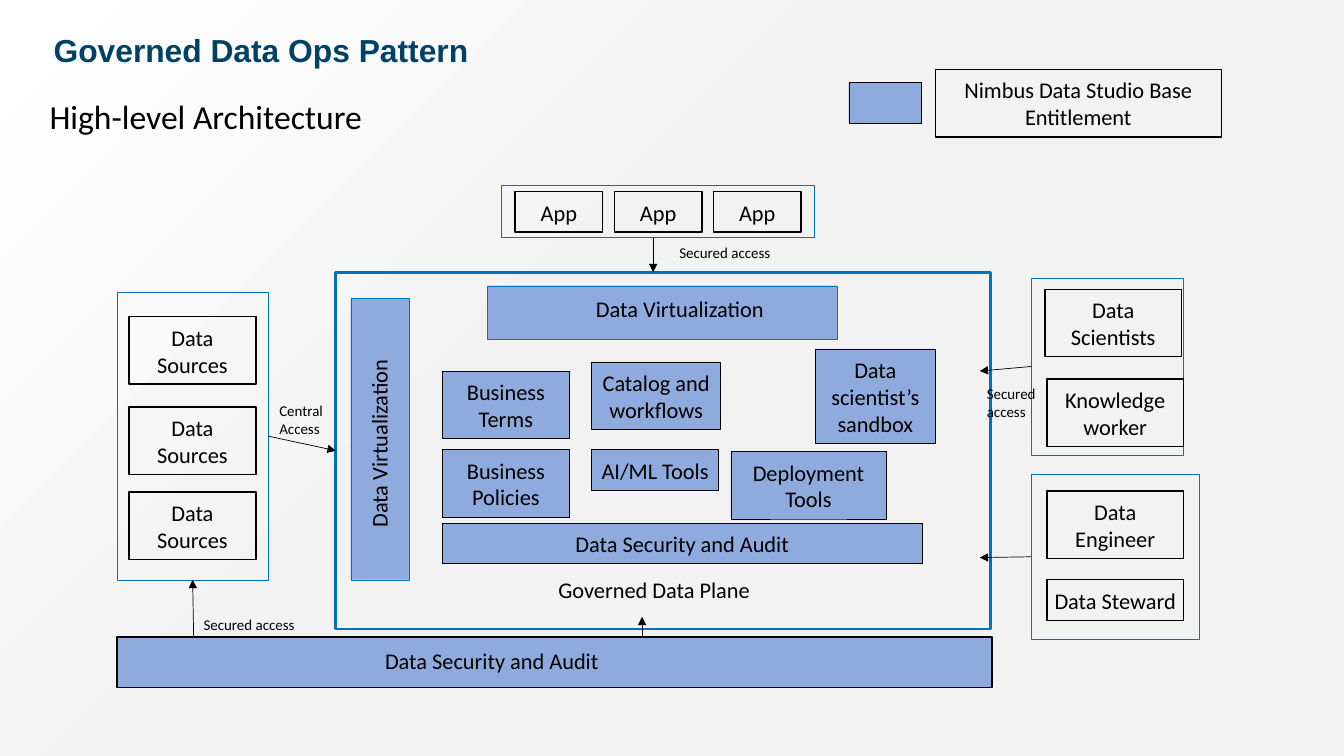
from lxml.etree import SubElement
from pptx import Presentation
from pptx.dml.color import RGBColor
from pptx.enum.shapes import MSO_CONNECTOR, MSO_SHAPE
from pptx.enum.text import MSO_ANCHOR as Anchor, MSO_AUTO_SIZE as AutoSize, PP_ALIGN as Align
from pptx.oxml.ns import qn
from pptx.util import Cm, Pt

COLORS = {"black": "000000", "white": "FFFFFF", "grey": "F2F2F2",
          "navy": "004266", "blue": "0070C0", "entitled": "8FAADC"}
COLORS = {name: RGBColor.from_string(value) for name, value in COLORS.items()}


def write(shape, text, size=16, font="Calibri", color="black", bold=False,
          align=Align.CENTER, anchor=Anchor.TOP, inset=0.18):
    frame = shape.text_frame
    frame.word_wrap = True
    frame.auto_size = AutoSize.NONE
    frame.vertical_anchor = anchor
    frame.margin_left = frame.margin_right = Cm(inset)
    frame.margin_top = frame.margin_bottom = Cm(inset)
    para = frame.paragraphs[0]
    para.alignment = align
    span = para.add_run()
    span.text = text
    span.font.size, span.font.name, span.font.bold = Pt(size), font, bold
    span.font.color.rgb = COLORS[color]


def add_box(place, text="", fill=None, line="black", weight=1):
    """Draw a rectangle at place: left, top, width and height in cm."""
    box = page.shapes.add_shape(MSO_SHAPE.RECTANGLE, *map(Cm, place))
    box.shadow.inherit = False
    if fill:
        box.fill.solid()
        box.fill.fore_color.rgb = COLORS[fill]
    else:
        box.fill.background()
    box.line.color.rgb = COLORS[line]
    box.line.width = Pt(weight)
    if text:
        write(box, text)
    return box


deck = Presentation()
deck.slide_width, deck.slide_height = Cm(33.87), Cm(19.05)
page = deck.slides.add_slide(deck.slide_layouts[5])

background = page.background.fill
background.gradient()
background.gradient_angle = 315
for stop, color, position in zip(background.gradient_stops, ("white", "grey"), (0, 0.44)):
    stop.color.rgb = COLORS[color]
    stop.position = position

title = page.shapes.title
title.left, title.top, title.width, title.height = Cm(1.35), Cm(0.66), Cm(12.83), Cm(1.19)
write(title, "Governed Data Ops Pattern", size=22.7, font="Arial", color="navy",
      bold=True, align=Align.LEFT, anchor=Anchor.MIDDLE, inset=0)

# Frames and bars
for place in ((12.29, 7.2, 8.81, 1.35), (8.84, 7.52, 1.47, 7.09)):
    add_box(place, fill="entitled", line="blue", weight=0.25)
plane = add_box((8.46, 6.86, 16.51, 8.99), line="blue", weight=2)
add_box((2.95, 16.05, 22.05, 1.27), fill="entitled")
sources, analysts, engineers, apps = [
    add_box(place, line="blue", weight=0.25) for place in (
        (2.95, 7.37, 3.81, 7.24), (25.98, 7.01, 3.84, 4.45),
        (25.98, 11.96, 4.24, 4.14), (12.62, 4.67, 7.9, 1.3))]

# Outlined boxes
for column in range(3):
    add_box((12.98 + 2.5 * column, 4.83, 2.21, 1.02), "App")
for top in (7.98, 10.26, 12.4):
    add_box((3.25, top, 3.2, 1.7), "Data Sources")
for text, left, top, height in (
        ("Data Scientists", 26.34, 7.29, 1.7),
        ("Knowledge worker", 26.39, 9.55, 1.7),
        ("Data Engineer", 26.39, 12.37, 1.7),
        ("Data Steward", 26.39, 14.61, 1.02)):
    add_box((left, top, 3.43, height), text)
add_box((23.57, 1.75, 7.21, 1.7), "Nimbus Data Studio Base Entitlement")

# Entitled components, with the legend swatch first
for text, *place in (
        ("", 21.39, 2.08, 1.83, 1.02),
        ("Business Terms", 11.15, 9.35, 3.2, 1.7),
        ("Business Policies", 11.15, 11.33, 3.2, 1.7),
        ("Catalog and workflows", 14.91, 9.12, 3.25, 1.7),
        ("AI/ML Tools", 14.91, 11.33, 3.2, 1.02),
        ("Data scientist’s sandbox", 20.55, 8.79, 3.02, 2.39),
        ("Deployment Tools", 18.42, 11.38, 3.91, 1.7),
        ("Data Security and Audit", 11.15, 13.18, 12.09, 1.02)):
    add_box(place, text, fill="entitled", weight=0.25)

# Free labels
note = {"size": 10.7, "align": Align.LEFT}
for text, place, rotation, look in (
        ("High-level Architecture", (1.07, 2.24, 18.47, 1.37), 0,
         {"size": 24, "align": Align.LEFT}),
        ("Data Virtualization", (6.4, 10.67, 6.27, 1.02), 270, {}),
        ("Data Virtualization", (14, 7.26, 6.27, 1.02), 0, {}),
        ("Governed Data Plane", (10.39, 14.35, 12.19, 1.02), 0, {}),
        ("Data Security and Audit", (6.35, 16.13, 12.09, 1.02), 0, {}),
        ("Secured access", (16.94, 5.97, 4.6, 0.79), 0, note),
        ("Secured access", (24.69, 9.5, 2.34, 1.24), 0, note),
        ("Secured access", (4.95, 15.32, 4.6, 0.79), 0, note),
        ("Central Access", (6.86, 9.93, 1.83, 1.24), 0, note)):
    label = page.shapes.add_textbox(*map(Cm, place))
    label.rotation = rotation
    write(label, text, **look)

# Arrows: ends in cm, then the joined shape and side at each end
for ends, begin, end in (
        ((6.76, 10.99, 8.46, 11.35), (sources, 3), (plane, 1)),
        ((16.46, 5.97, 16.46, 6.86), None, None),
        ((25.98, 9.23, 24.69, 9.35), (analysts, 1), None),
        ((25.98, 14.03, 24.69, 14.05), (engineers, 1), None),
        ((4.88, 16.05, 4.85, 14.61), None, (sources, 2)),
        ((16.18, 16.05, 16.18, 15.54), None, None)):
    arrow = page.shapes.add_connector(MSO_CONNECTOR.STRAIGHT, *map(Cm, ends))
    if begin:
        arrow.begin_connect(*begin)
    if end:
        arrow.end_connect(*end)
    arrow.line.color.rgb = COLORS["black"]
    arrow.line.width = Pt(0.5)
    SubElement(arrow.line._get_or_add_ln(), qn("a:tailEnd"), type="triangle")
    SubElement(arrow._element.spPr, qn("a:effectLst"))

deck.save("out.pptx")
